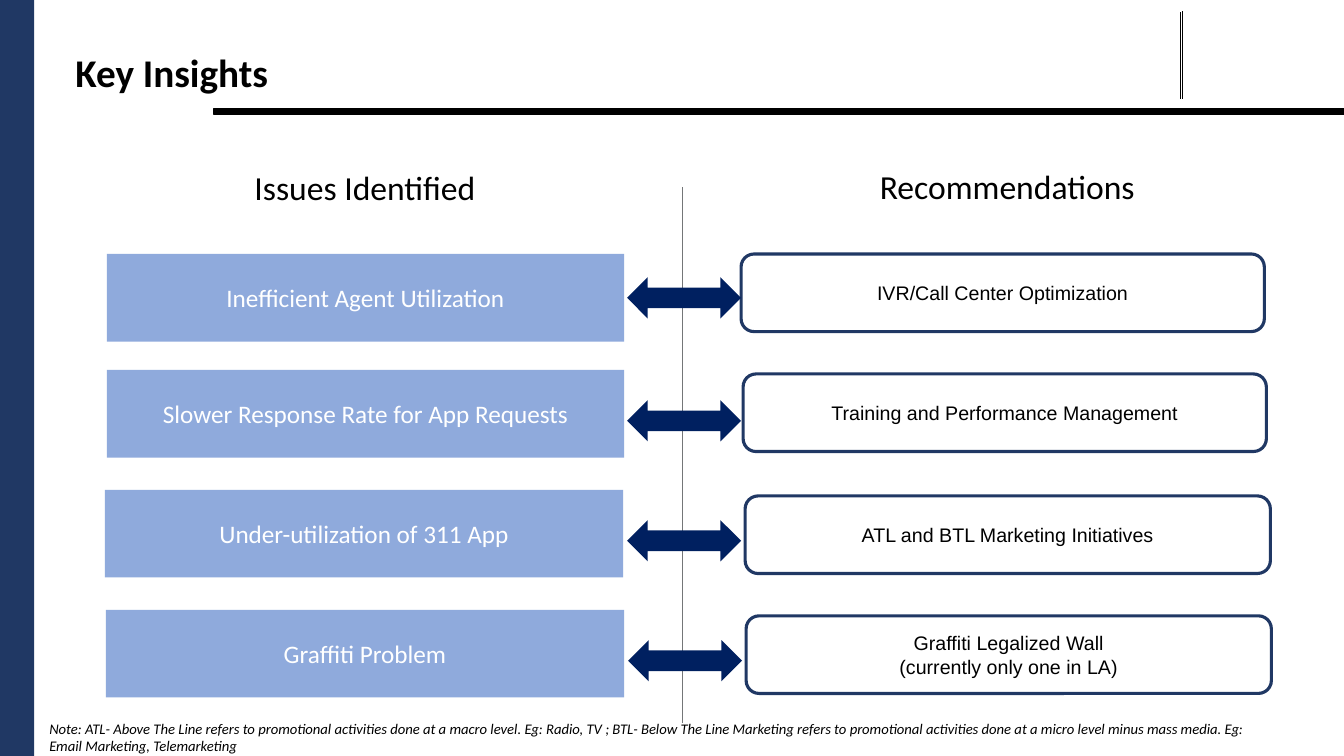
from dataclasses import dataclass

from pptx import Presentation
from pptx.dml.color import RGBColor
from pptx.enum.shapes import MSO_CONNECTOR, MSO_SHAPE
from pptx.enum.text import MSO_ANCHOR, PP_ALIGN
from pptx.util import Inches, Pt
from lxml import etree

RECTANGLE = MSO_SHAPE.RECTANGLE
ROUNDED = MSO_SHAPE.ROUNDED_RECTANGLE
DOUBLE_ARROW = MSO_SHAPE.LEFT_RIGHT_ARROW
STRAIGHT = MSO_CONNECTOR.STRAIGHT
LEFT, CENTER = PP_ALIGN.LEFT, PP_ALIGN.CENTER
TOP, MIDDLE = MSO_ANCHOR.TOP, MSO_ANCHOR.MIDDLE
DRAWING_NS = "http://schemas.openxmlformats.org/drawingml/2006/main"


@dataclass(frozen=True)
class Theme:
    black: str = "000000"
    white: str = "FFFFFF"
    navy: str = "203864"
    arrow: str = "002060"
    issue: str = "8FAADC"
    divider: str = "747678"
    heading_font: str = "Calibri"
    body_font: str = "Arial"
    title_size: float = 28
    heading_size: float = 24
    issue_size: float = 18
    recommendation_size: float = 14
    note_size: float = 10.5


THEME = Theme()

# Each row: issue text and box, arrow position, recommendation lines and box
ROWS = [
    ("Inefficient Agent Utilization", (1.06, 2.52, 5.13, 0.87), (6.22, 2.75),
     ["IVR/Call Center Optimization"], (7.35, 2.52, 5.19, 0.77)),
    ("Slower Response Rate for App Requests", (1.06, 3.67, 5.13, 0.87), (6.22, 3.97),
     ["Training and Performance Management"], (7.37, 3.71, 5.19, 0.77)),
    ("Under-utilization of 311 App", (1.04, 4.86, 5.14, 0.87), (6.22, 5.16),
     ["ATL and BTL Marketing Initiatives"], (7.39, 4.92, 5.21, 0.77)),
    ("Graffiti Problem", (1.05, 6.05, 5.14, 0.87), (6.23, 6.35),
     ["Graffiti Legalized Wall", "(currently only one in LA)"], (7.4, 6.11, 5.21, 0.77)),
]
NOTE = ("Note: ATL- Above The Line refers to promotional activities done at a macro level. "
        "Eg: Radio, TV ; BTL- Below The Line Marketing refers to promotional activities done "
        "at a micro level minus mass media. Eg: Email Marketing, Telemarketing")


def write_text(shape, lines, *, size, font=THEME.heading_font, color=THEME.black, bold=False,
               italic=False, align=LEFT, anchor=TOP, margins=(0.1, 0.05)):
    frame = shape.text_frame
    frame.word_wrap = True
    frame.vertical_anchor = anchor
    frame.margin_left = frame.margin_right = Inches(margins[0])
    frame.margin_top = frame.margin_bottom = Inches(margins[1])
    for index, line in enumerate(lines):
        paragraph = frame.add_paragraph() if index else frame.paragraphs[0]
        paragraph.alignment = align
        run = paragraph.add_run()
        run.text = line
        run.font.name, run.font.size = font, Pt(size)
        run.font.bold, run.font.italic = bold, italic
        run.font.color.rgb = RGBColor.from_string(color)


def add_text(slide, box, text, **text_format):
    shape = slide.shapes.add_textbox(*map(Inches, box))
    write_text(shape, [text], **text_format)


def add_block(slide, kind, box, fill=None, line=None, width=1):
    shape = slide.shapes.add_shape(kind, *map(Inches, box))
    shape.shadow.inherit = False
    if fill:
        shape.fill.solid()
        shape.fill.fore_color.rgb = RGBColor.from_string(fill)
    else:
        shape.fill.background()
    if line:
        shape.line.color.rgb = RGBColor.from_string(line)
        shape.line.width = Pt(width)
    else:
        shape.line.fill.background()
    return shape


def add_vertical_line(slide, x, top, bottom, color):
    connector = slide.shapes.add_connector(
        STRAIGHT, Inches(x), Inches(top), Inches(x), Inches(bottom))
    connector.line.color.rgb = RGBColor.from_string(color)
    connector.line.width = Pt(0.5)
    etree.SubElement(connector._element.spPr, f"{{{DRAWING_NS}}}effectLst")


def add_header(slide, box):
    left, top, width, height = box
    # Double rule at the right, title, thick rule below
    for x, line_top in ((11.71, 0.12), (11.73, 0.11)):
        add_vertical_line(slide, x, top + line_top, top + 0.98, THEME.black)
    add_text(slide, (left + 0.65, top + 0.43, 5.68, 0.57), "Key Insights",
             size=THEME.title_size, bold=True)
    add_block(slide, RECTANGLE, (left + 2.12, top + height, width - 2.12, 0.05),
              fill=THEME.black, line=THEME.black)


def add_column_headings(slide, box):
    left, top, width, height = box
    column_width = 5.22
    headings = (("Issues Identified", left, top + 0.01),
                ("Recommendations", left + width - column_width, top))
    for text, x, y in headings:
        add_text(slide, (x, y, column_width, height), text, size=THEME.heading_size,
                 align=CENTER, anchor=MIDDLE, margins=(0.1, 0.1))


def add_insight_row(slide, issue, issue_box, arrow_position, recommendation,
                    recommendation_box):
    issue_shape = add_block(slide, RECTANGLE, issue_box, fill=THEME.issue)
    write_text(issue_shape, [issue], size=THEME.issue_size, color=THEME.white,
               align=CENTER, anchor=MIDDLE, margins=(0.06, 0.06))
    answer_shape = add_block(slide, ROUNDED, recommendation_box, line=THEME.navy, width=2.25)
    write_text(answer_shape, recommendation, size=THEME.recommendation_size,
               font=THEME.body_font, align=CENTER, anchor=MIDDLE, margins=(0.06, 0.06))
    add_block(slide, DOUBLE_ARROW, (*arrow_position, 1.13, 0.41), fill=THEME.arrow)


def main():
    presentation = Presentation()
    presentation.slide_width, presentation.slide_height = Inches(13.33), Inches(7.5)
    slide = presentation.slides.add_slide(presentation.slide_layouts[6])

    # Frame of the slide
    add_header(slide, (0, 0, 13.33, 1.08))
    add_block(slide, RECTANGLE, (0, 0, 0.34, 7.5), fill=THEME.navy)

    # Issues matched with recommendations
    add_column_headings(slide, (1.01, 1.59, 11.59, 0.51))
    add_vertical_line(slide, 6.77, 1.86, 7.17, THEME.divider)
    for row in ROWS:
        add_insight_row(slide, *row)

    # Footnote
    add_text(slide, (0.39, 7.09, 12.38, 0.41), NOTE, size=THEME.note_size, italic=True)
    presentation.save("out.pptx")


if __name__ == "__main__":
    main()
